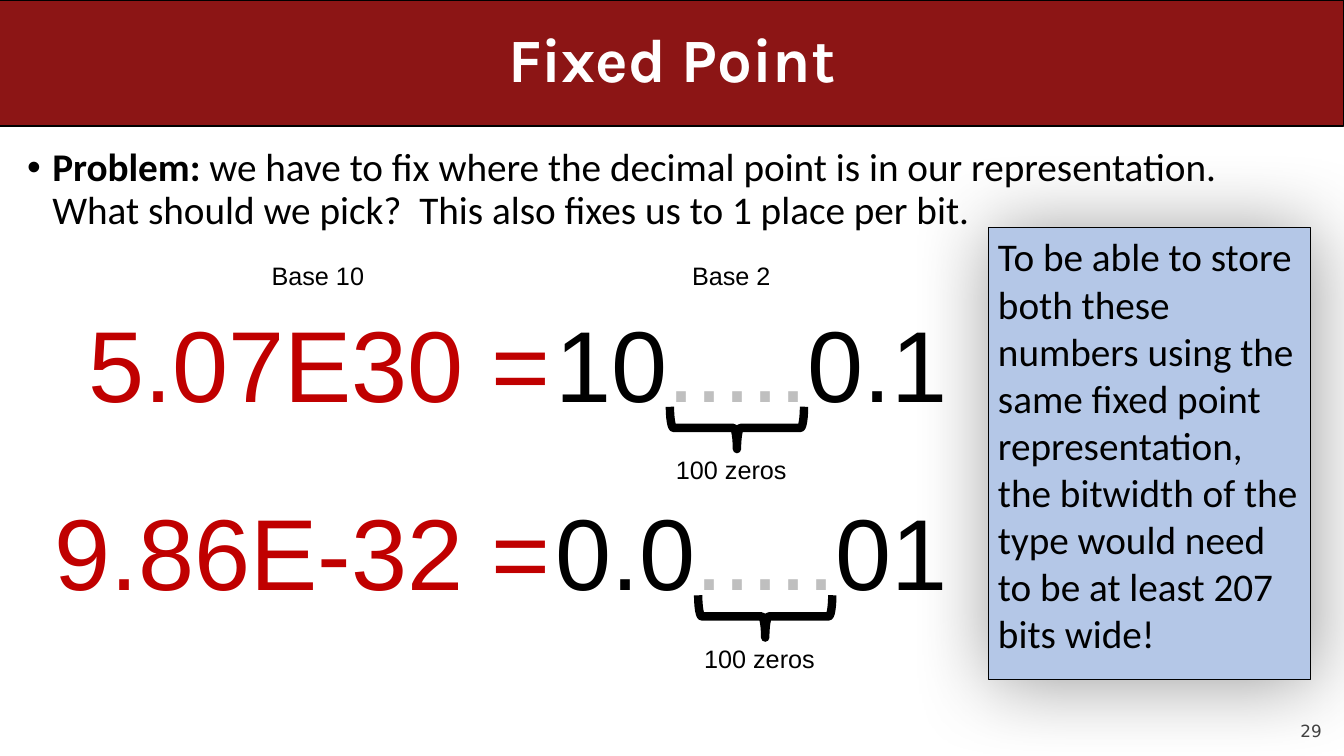
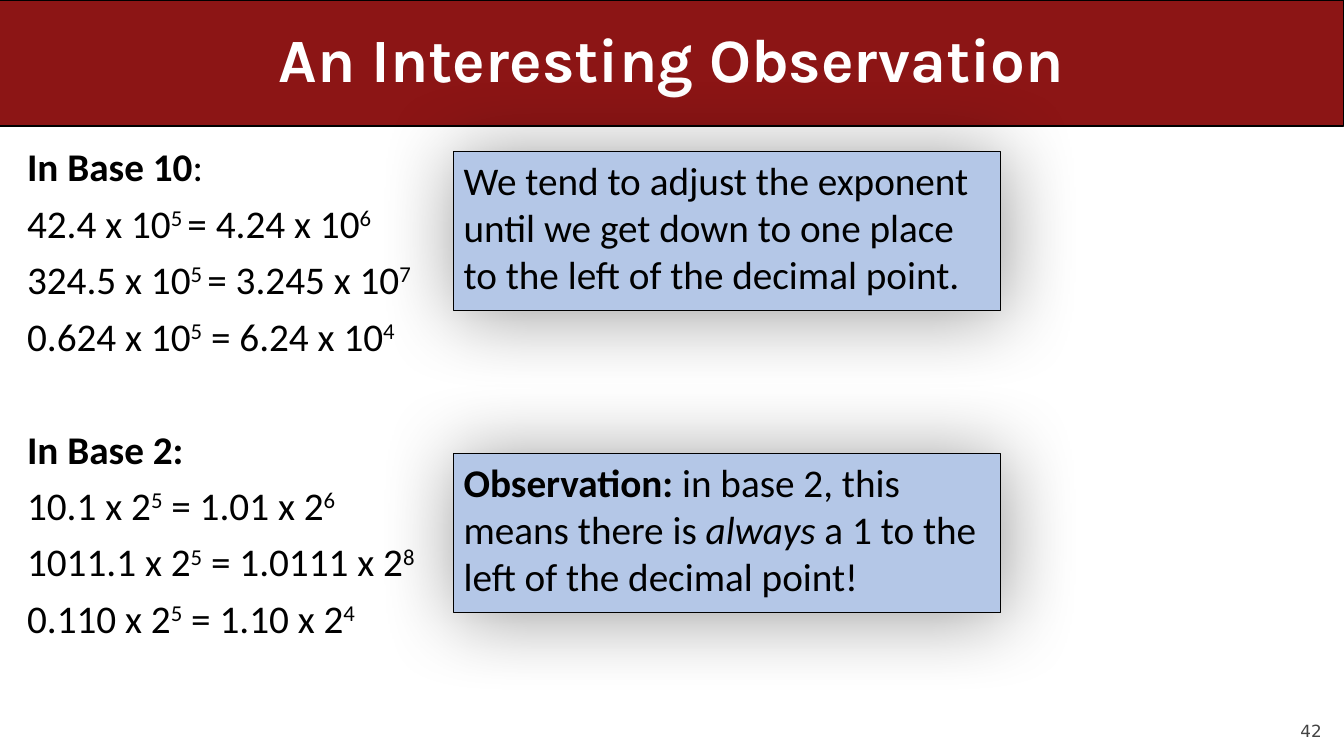
from lxml.etree import SubElement
from pptx import Presentation
from pptx.dml.color import RGBColor
from pptx.enum.shapes import MSO_SHAPE
from pptx.enum.text import MSO_ANCHOR, MSO_AUTO_SIZE, PP_ALIGN
from pptx.oxml.ns import qn
from pptx.util import Inches, Pt

COLORS = {
    "band": "8C1515", "title": "FFFFFF", "text": "000000", "page": "424242",
    "number": "C00000", "dots": "BFBFBF", "callout": "B4C7E7",
}
WIDTH, HEIGHT, BAND_HEIGHT = 13.33, 7.5, 1.25
BODY_AREA = (0.17, 1.42, 12.92, 5.67)
BODY = {"font": "Calibri", "size": 28}
BODY_LINES = {"line_spacing": 0.9, "space_before": 10}
BOLD, ITALIC = {"bold": True}, {"italic": True}
DOTS = (".....", {"color": "dots"})

# A paragraph is a list of (text, format) runs.
PROBLEM = [
    ("Problem: ", BOLD),
    ("we have to fix where the decimal point is in our representation.  "
     "What should we pick?  This also fixes us to 1 place per bit.", {}),
]
BASE_HEADINGS = [("Base 10", 2.58, 1.13), ("Base 2", 6.75, 0.99)]
# Decimal value, its left and width, binary digits, left of the brace
EXPANSIONS = [
    ("5.07E30 =", 0.73, 4.83, [("10", {}), DOTS, ("0.1", {})], 7.1),
    ("9.86E-32 =", 0.39, 5.17, [("0.0", {}), DOTS, ("01", {})], 7.38),
]
BITWIDTH = [("To be able to store both these numbers using the same fixed point "
             "representation, the bitwidth of the type would need to be at least "
             "207 bits wide!", {})]

# In an equation, every second part between bars is an exponent.
BASE_EXAMPLES = [
    ([("In Base 10", BOLD), (":", {})],
     ["42.4 x 10|5 |= 4.24 x 10|6",
      "324.5 x 10|5 |= 3.245 x 10|7",
      "0.624 x 10|5| = 6.24 x 10|4"]),
    ([("In Base 2:", BOLD)],
     ["10.1 x 2|5| = 1.01 x 2|6",
      "1011.1 x 2|5| = 1.0111 x 2|8",
      "0.110 x 2|5| = 1.10 x 2|4"]),
]
GROUP_GAP = 50.5
OBSERVATIONS = [
    [("We tend to adjust the exponent until we get down to one place to the "
      "left of the decimal point.", {})],
    [("Observation:", BOLD), (" in base 2, this means there is ", {}),
     ("always", ITALIC), (" a 1 to the left of the decimal point!", {})],
]


def rgb(name):
    return RGBColor.from_string(COLORS[name])


def inches(area):
    return [Inches(value) for value in area]


def add_run(paragraph, text, font, size, color="text", bold=False, italic=False,
            superscript=False):
    run = paragraph.add_run()
    run.text = text
    run.font.name, run.font.size = font, Pt(size)
    run.font.bold, run.font.italic = bold, italic
    run.font.color.rgb = rgb(color)
    if superscript:
        run.font._element.set("baseline", "30000")


def set_bullet(paragraph, indent=0.25):
    properties = paragraph._p.get_or_add_pPr()
    properties.set("marL", str(Inches(indent)))
    properties.set("indent", str(-Inches(indent)))
    SubElement(properties, qn("a:buFont"), typeface="Arial")
    SubElement(properties, qn("a:buChar"), char="•")


def write(frame, paragraphs, align=PP_ALIGN.LEFT, anchor=MSO_ANCHOR.TOP, wrap=True,
          inset=None, bullet=False, line_spacing=None, space_before=0, gaps=None,
          **run_format):
    """Fill a text frame; gaps maps a paragraph's index to its own space before."""
    frame.word_wrap, frame.vertical_anchor = wrap, anchor
    if not wrap:
        frame.auto_size = MSO_AUTO_SIZE.SHAPE_TO_FIT_TEXT
    if inset is not None:
        frame.margin_left = frame.margin_right = Inches(inset)
        frame.margin_top = frame.margin_bottom = Inches(inset)
    for index, runs in enumerate(paragraphs):
        paragraph = frame.add_paragraph() if index else frame.paragraphs[0]
        paragraph.alignment = align
        if line_spacing:
            paragraph.line_spacing = line_spacing
        if index:
            paragraph.space_before = Pt((gaps or {}).get(index, space_before))
        if bullet:
            set_bullet(paragraph)
        for text, changes in runs:
            add_run(paragraph, text, **{**run_format, **changes})


def add_text(slide, area, paragraphs, **text_format):
    write(slide.shapes.add_textbox(*inches(area)).text_frame, paragraphs, **text_format)


def add_figure(slide, area, runs, size, color="text"):
    """Add one right-aligned line of digits or a label."""
    add_text(slide, area, [runs], font="Arial", size=size, color=color,
             align=PP_ALIGN.RIGHT, wrap=False)


def add_outlined(slide, kind, area, fill=None, weight=0.75):
    shape = slide.shapes.add_shape(kind, *inches(area))
    shape.shadow.inherit = False
    if fill:
        shape.fill.solid()
        shape.fill.fore_color.rgb = rgb(fill)
    else:
        shape.fill.background()
    shape.line.color.rgb = rgb("text")
    shape.line.width = Pt(weight)
    return shape


def add_callout(slide, area, runs):
    callout = add_outlined(slide, MSO_SHAPE.RECTANGLE, area, "callout")
    effects = callout._element.spPr.find(qn("a:effectLst"))
    shadow = SubElement(effects, qn("a:outerShdw"), blurRad=str(Pt(58)),
                        dist=str(Pt(3)), dir=str(45 * 60000),
                        algn="tl", rotWithShape="0")
    tint = SubElement(shadow, qn("a:srgbClr"), val=COLORS["text"])
    SubElement(tint, qn("a:alpha"), val="40000")
    write(callout.text_frame, [runs], **BODY)


def add_titled_slide(deck, title, page):
    slide = deck.slides.add_slide(deck.slide_layouts[6])
    add_text(slide, (12, 6.95, 1.11, 0.4), [[(page, {})]], font="DejaVu Sans", size=12,
             color="page", align=PP_ALIGN.RIGHT, anchor=MSO_ANCHOR.BOTTOM, inset=0)
    band = add_outlined(slide, MSO_SHAPE.ROUNDED_RECTANGLE,
                        (0, 0, WIDTH, BAND_HEIGHT), "band")
    band.adjustments[0] = 0
    add_text(slide, (0.5, 0, WIDTH - 1, BAND_HEIGHT), [[(title, {})]], font="Karla",
             size=44, color="title", bold=True, align=PP_ALIGN.CENTER,
             anchor=MSO_ANCHOR.MIDDLE, line_spacing=0.9)
    return slide


def build_fixed_point(deck):
    slide = add_titled_slide(deck, "Fixed Point", "29")
    add_text(slide, BODY_AREA, [PROBLEM], bullet=True, **BODY, **BODY_LINES)
    for heading, left, width in BASE_HEADINGS:
        add_figure(slide, (left, 2.53, width, 0.4), [(heading, {})], 18)
    for row, (value, left, width, digits, brace_left) in enumerate(EXPANSIONS):
        top = 2.94 + row * 1.87
        add_figure(slide, (5.37, top, 4.13, 1.31), digits, 72)
        brace = add_outlined(slide, MSO_SHAPE.LEFT_BRACE,
                             (brace_left, top + 0.64, 0.42, 1.33), weight=6)
        brace.rotation = 270
        add_figure(slide, (brace_left - 0.51, top + 1.52, 1.31, 0.4),
                   [("100 zeros", {})], 18)
        add_figure(slide, (left, top, width, 1.31), [(value, {})], 72, "number")
    add_callout(slide, (9.8, 2.26, 3.2, 4.48), BITWIDTH)


def equation_runs(equation):
    return [(part, {"superscript": index % 2 == 1})
            for index, part in enumerate(equation.split("|"))]


def build_observation(deck):
    slide = add_titled_slide(deck, "An Interesting Observation", "42")
    paragraphs, gaps = [], {}
    for heading, equations in BASE_EXAMPLES:
        gaps[len(paragraphs)] = GROUP_GAP
        paragraphs += [heading, *map(equation_runs, equations)]
    add_text(slide, BODY_AREA, paragraphs, gaps=gaps, **BODY, **BODY_LINES)
    for row, observation in enumerate(OBSERVATIONS):
        add_callout(slide, (4.5, 1.5 + 3 * row, 5.42, 1.58), observation)


def main():
    deck = Presentation()
    deck.slide_width, deck.slide_height = inches((WIDTH, HEIGHT))
    build_fixed_point(deck)
    build_observation(deck)
    deck.save("out.pptx")


if __name__ == "__main__":
    main()
